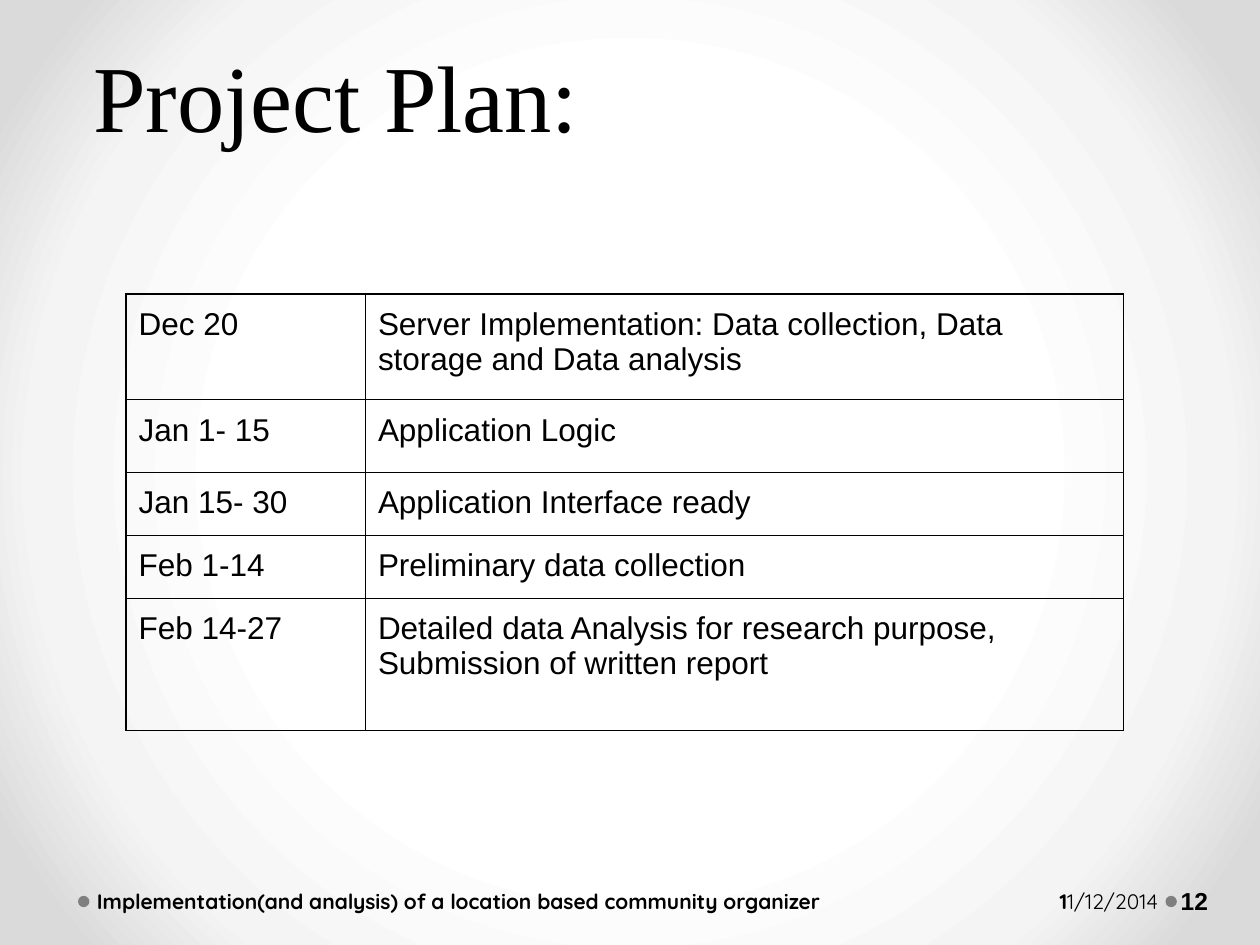
"""Build the project plan slide with its schedule table and footer."""
from dataclasses import dataclass

import pptx
import pptx.dml.color
import pptx.enum.shapes
import pptx.enum.text
import pptx.oxml
import pptx.oxml.ns
import pptx.util

Pt = pptx.util.Pt
Align = pptx.enum.text.PP_ALIGN
Anchor = pptx.enum.text.MSO_ANCHOR
BLACK = "000000"
GREY = "7F7F7F"
NAMESPACE = pptx.oxml.ns.nsdecls("a")
BACKGROUND_STOPS = [(0, "FFFFFF"), (50, "FFFFFF"), (76, "F4F4F4"), (92, "DADADA"), (100, "DADADA")]
FOOTER_TOP, FOOTER_HEIGHT = 500.4, 28.8
DOT_TOP, DOT_SIZE = 511.9, 6.5
DOT_LEFTS = [44.6, 666]
COLUMN_WIDTHS = [136.8, 433.4]


@dataclass
class FooterItem:
    """A footer text box; runs pair each text with its boldness."""
    left: float
    width: float
    runs: list[tuple[str, bool]]
    font: str
    size: float
    align: Align
    margin_left: float
    margin_right: float


@dataclass
class PlanRow:
    """One period of the schedule."""
    period: str
    task: str
    height: float


FOOTER_ITEMS = [
    FooterItem(501.1, 164.2, [("1", True), ("1/12/2014", False)], "Quicksand", 12, Align.RIGHT, 7.2, 3.6),
    FooterItem(51.8, 425.5, [("Implementation(and analysis) of a location based community organizer", True)],
               "Quicksand", 12, Align.LEFT, 3.6, 7.2),
    FooterItem(672.5, 43.9, [("12", True)], "Arial", 14, Align.LEFT, 2.2, 3.6),
]
PLAN_ROWS = [
    PlanRow("Dec 20", "Server Implementation: Data collection, Data storage and Data analysis", 60.5),
    PlanRow("Jan 1- 15", "Application Logic", 41.4),
    PlanRow("Jan 15- 30", "Application Interface ready", 35.3),
    PlanRow("Feb 1-14", "Preliminary data collection", 35.3),
    PlanRow("Feb 14-27", "Detailed data Analysis for research purpose,\nSubmission of written report", 75.4),
]


def color(value: str) -> pptx.dml.color.RGBColor:
    """Turn a hex string into a colour."""
    return pptx.dml.color.RGBColor.from_string(value)


def format_font(font, name: str, size: float, bold: bool = False) -> None:
    """Apply a black typeface."""
    font.name = name
    font.size = Pt(size)
    font.bold = bold
    font.color.rgb = color(BLACK)


def paint_background(slide) -> None:
    """Fill the background with a circular gradient."""
    slide.background.fill.gradient()
    gradient = slide.element.find(".//" + pptx.oxml.ns.qn("a:gradFill"))
    stops = "".join(f'<a:gs pos="{position * 1000}"><a:srgbClr val="{value}"/></a:gs>'
                    for position, value in BACKGROUND_STOPS)
    circle = pptx.oxml.parse_xml(
        f'<a:gradFill {NAMESPACE} rotWithShape="1"><a:gsLst>{stops}</a:gsLst><a:path path="circle">'
        '<a:fillToRect l="50000" t="50000" r="50000" b="50000"/></a:path></a:gradFill>')
    gradient.getparent().replace(gradient, circle)


def set_title(slide, text: str) -> None:
    """Place and format the title placeholder."""
    title = slide.shapes.title
    title.left, title.top, title.width, title.height = Pt(-30.2), Pt(0), Pt(444.2), Pt(90)
    frame = title.text_frame
    frame.text = text
    frame.word_wrap = True
    frame.auto_size = pptx.enum.text.MSO_AUTO_SIZE.NONE
    frame.vertical_anchor = Anchor.BOTTOM
    paragraph = frame.paragraphs[0]
    paragraph.alignment = Align.CENTER
    paragraph.line_spacing = 1.07
    format_font(paragraph.runs[0].font, "Times New Roman", 54)


def add_dot(slide, left: float) -> None:
    """Draw a footer separator dot."""
    dot = slide.shapes.add_shape(pptx.enum.shapes.MSO_SHAPE.OVAL, Pt(left), Pt(DOT_TOP),
                                 Pt(DOT_SIZE), Pt(DOT_SIZE))
    dot.shadow.inherit = False
    dot.fill.solid()
    dot.fill.fore_color.rgb = color(GREY)
    dot.line.fill.background()


def add_footer_item(slide, item: FooterItem) -> None:
    """Add one footer text box."""
    box = slide.shapes.add_textbox(Pt(item.left), Pt(FOOTER_TOP), Pt(item.width), Pt(FOOTER_HEIGHT))
    frame = box.text_frame
    frame.word_wrap = True
    frame.vertical_anchor = Anchor.MIDDLE
    frame.margin_left, frame.margin_right = Pt(item.margin_left), Pt(item.margin_right)
    paragraph = frame.paragraphs[0]
    paragraph.alignment = item.align
    for text, bold in item.runs:
        run = paragraph.add_run()
        run.text = text
        format_font(run.font, item.font, item.size, bold)


def fill_cell(cell, text: str) -> None:
    """Write a bordered, unfilled table cell."""
    cell.text_frame.text = text
    cell.margin_left = cell.margin_right = cell.margin_top = cell.margin_bottom = Pt(7.2)
    for paragraph in cell.text_frame.paragraphs:
        for run in paragraph.runs:
            format_font(run.font, "Arial", 18)
    cell.fill.background()
    properties = cell._tc.get_or_add_tcPr()
    for index, side in enumerate(["lnL", "lnR", "lnT", "lnB"]):
        properties.insert(index, pptx.oxml.parse_xml(
            f'<a:{side} {NAMESPACE} w="{Pt(0.75)}"><a:solidFill><a:srgbClr val="{BLACK}"/>'
            f'</a:solidFill></a:{side}>'))


def add_plan_table(slide, rows: list[PlanRow]) -> None:
    """Add the schedule table."""
    frame = slide.shapes.add_table(len(rows), len(COLUMN_WIDTHS), Pt(72), Pt(168),
                                   Pt(sum(COLUMN_WIDTHS)), Pt(sum(row.height for row in rows)))
    table = frame.table
    table.first_row = table.horz_banding = False
    for column, width in zip(table.columns, COLUMN_WIDTHS):
        column.width = Pt(width)
    for index, row in enumerate(rows):
        table.rows[index].height = Pt(row.height)
        for column_index, text in enumerate([row.period, row.task]):
            fill_cell(table.cell(index, column_index), text)


def main() -> None:
    """Build and save the presentation."""
    presentation = pptx.Presentation()
    presentation.slide_width, presentation.slide_height = Pt(720), Pt(540)
    slide = presentation.slides.add_slide(presentation.slide_layouts.get_by_name("Title Only"))
    paint_background(slide)
    for left in DOT_LEFTS:
        add_dot(slide, left)
    set_title(slide, "Project Plan:")
    for item in FOOTER_ITEMS:
        add_footer_item(slide, item)
    add_plan_table(slide, PLAN_ROWS)
    presentation.save("out.pptx")


if __name__ == "__main__":
    main()
